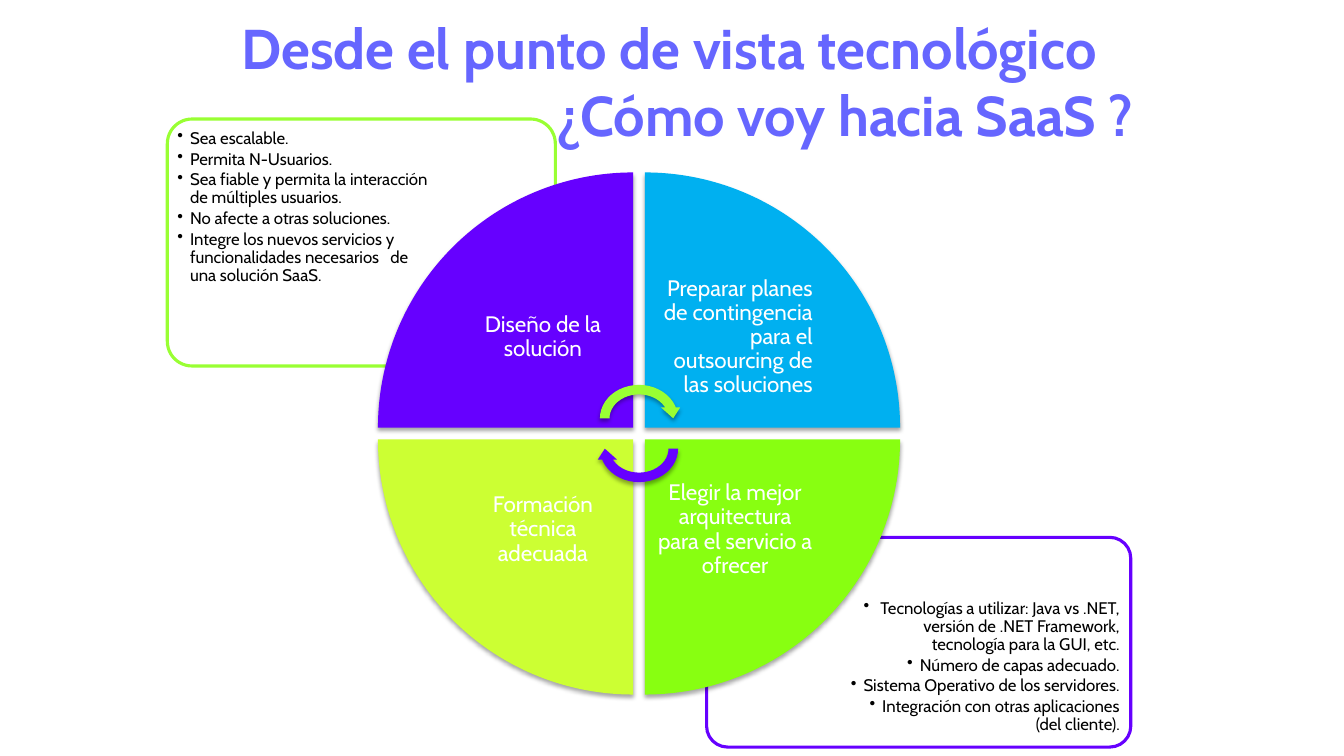
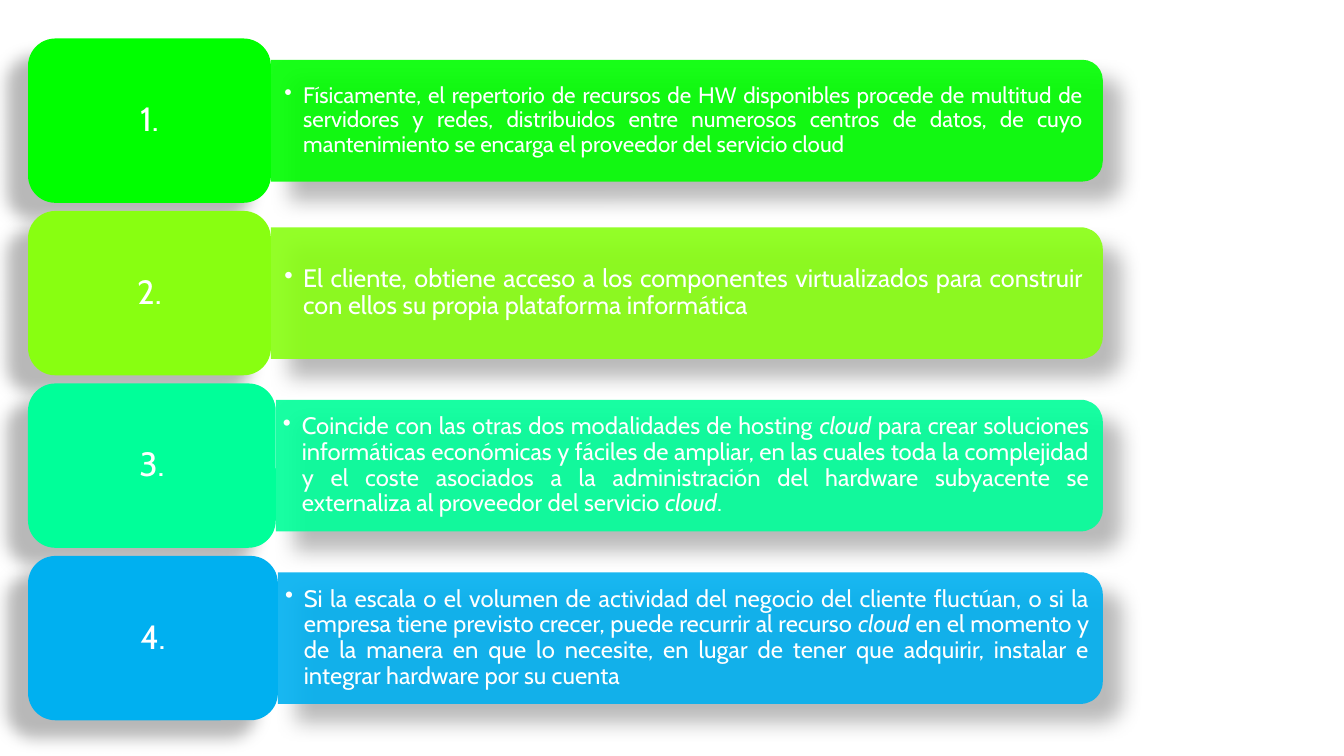
from lxml import etree
from pptx import Presentation, util as u
from pptx.dml import color as dml
from pptx.enum import shapes, text
from pptx.oxml import ns

Pt = u.Pt
KIND = shapes.MSO_SHAPE
ALIGN = text.PP_ALIGN
MID = text.MSO_ANCHOR.MIDDLE
TOP = text.MSO_ANCHOR.TOP
FONT = "Cabin"
WHITE, BLACK, LILAC = "FFFFFF", "000000", "6666FF"
VIOLET, BLUE, LIME, LEMON = "6600FF", "00B0F0", "88FF11", "CCFF33"
GRASS, GREEN, MINT = "99FF33", "00FF00", "00FF99"
SOFT = (35, 3, 2, 90)
RIGHT = (30, 15, 18, 45)
LEFT = (28, 11.8, 19.7, 141)


def node(root, tag, **vals):
    """Append a DrawingML element with the given attributes."""
    return etree.SubElement(root, ns.qn("a:" + tag),
                            {k: str(v) for k, v in vals.items()})


def paint(fill, tint, alpha=100):
    """Give a fill one solid colour, opaque or not."""
    fill.solid()
    fill.fore_color.rgb = dml.RGBColor.from_string(tint)
    if alpha < 100:
        root = fill._xPr.find(ns.qn("a:solidFill"))
        node(root[0], "alpha", val=alpha * 1000)


def apply(item, vals):
    """Set attributes from a dict of format values."""
    for key, val in vals.items():
        setattr(item, key, val)


def shape(slide, kind, box, tint, alpha=100, shade=None, edge=None, turn=0):
    """Draw one preset shape in a box given in points."""
    item = slide.shapes.add_shape(kind, *map(Pt, box))
    item.rotation = turn
    item.shadow.inherit = False
    paint(item.fill, tint, alpha)
    if edge:
        paint(item.line.fill, edge)
        item.line.width = Pt(2.25)
    else:
        item.line.fill.background()
    if shade:
        dark, blur, dist, angle = shade
        root = item._element.spPr.find(ns.qn("a:effectLst"))
        cast = node(root, "outerShdw", blurRad=Pt(blur), dist=Pt(dist),
                    dir=angle * 60000, algn="ctr", rotWithShape=0)
        node(node(cast, "srgbClr", val=BLACK), "alpha", val=dark * 1000)
    return item


def frame(item, pad, anchor):
    """Wrap a shape's text and set its insets and anchor."""
    body = item.text_frame
    side, top = map(Pt, pad)
    apply(body, {"word_wrap": True, "auto_size": text.MSO_AUTO_SIZE.NONE,
                 "vertical_anchor": anchor, "margin_left": side,
                 "margin_right": side, "margin_top": top,
                 "margin_bottom": top})
    return body


def write(body, paras, size, tint, align, ls=0.9, after=0.35, hangs=None,
          bold=False):
    """Write paragraphs, each a string or a list of (text, format) runs."""
    for i, runs in enumerate(paras):
        para = body.paragraphs[0] if i == 0 else body.add_paragraph()
        apply(para, {"alignment": align, "line_spacing": ls,
                     "space_after": Pt(size * after)})
        if hangs:
            prop = para._p.get_or_add_pPr()
            hang = Pt(hangs[min(i, len(hangs) - 1)])
            prop.set("marL", str(hang))
            prop.set("indent", str(-hang))
            node(prop, "buChar", char="•")
        for words, style in [(runs, {})] if isinstance(runs, str) else runs:
            run = para.add_run()
            run.text = words
            apply(run.font, {"name": FONT, "size": Pt(size), "bold": bold,
                             "italic": style.get("italic", False)})
            paint(run.font.fill, tint)
            if "gap" in style:
                run._r.get_or_add_rPr().set("spc", str(style["gap"] * 100))


def label(slide, box, pad, anchor, paras, *args, **vals):
    """Place a text box and fill it."""
    item = slide.shapes.add_textbox(*map(Pt, box))
    write(frame(item, pad, anchor), paras, *args, **vals)


def title(slide, box, lines, shift):
    """Format the title, with its second line pushed to the right."""
    head = slide.shapes.title
    apply(head, dict(zip(("left", "top", "width", "height"), map(Pt, box))))
    body = frame(head, (7.2, 3.6), TOP)
    write(body, lines, 40, LILAC, ALIGN.CENTER, 1, 0, bold=True)
    body.paragraphs[1]._p.get_or_add_pPr().set("marL", str(Pt(shift)))


def card(slide, box, edge, inner, paras, align, hangs):
    """Draw an outlined card with a bullet list placed inside it."""
    item = shape(slide, KIND.ROUNDED_RECTANGLE, box, WHITE, 90, edge=edge)
    item.adjustments[0] = 0.1
    dx, dy, w, h = inner
    label(slide, (box[0] + dx, box[1] + dy, w, h), (3.6, 3.6), TOP, paras,
          12, BLACK, align, after=0.15, hangs=hangs)


def wheel(slide, x, y, side, gap, parts):
    """Draw four labelled wedges clockwise and two arrows at the hub."""
    step, inner = side + gap, side / 2 ** 0.5
    for i, (words, tint, align) in enumerate(parts):
        col, row = int(i in (1, 2)), i // 2
        px, py = x + col * step, y + row * step
        shape(slide, KIND.PIE_WEDGE, (px, py, side, side), tint,
              shade=SOFT, turn=90 * i)
        inset = side - inner
        box = (px + (1 - col) * inset, py + (1 - row) * inset, inner, inner)
        label(slide, box, (9, 9), MID, [words], 16, WHITE, align)
    w, h, half = 62.6, 54.7, (step + side) / 2
    for tint, turn, dy in ((GRASS, 0, -10.8), (VIOLET, 180, 10.8)):
        box = (x + half - w / 2, y + half + dy - h / 2, w, h)
        shape(slide, KIND.CIRCULAR_ARROW, box, tint, shade=SOFT, turn=turn)


def row(slide, box, split, thick, tint, mark, runs, size, pad):
    """Draw a numbered tab and the bar of text to its right."""
    x, y, w, h = box
    span, mid = w - split, y + h / 2
    left = x + split
    turned = (left + (span - thick) / 2, mid - span / 2, thick, span)
    shape(slide, KIND.ROUND_2_SAME_RECTANGLE, turned, tint, 90, RIGHT,
          turn=90)
    high = thick - 8.7
    label(slide, (left, mid - high / 2, span - 4.5, high), pad, MID, [runs],
          size, WHITE, ALIGN.JUSTIFY, after=0.15, hangs=(13.5,))
    tab = shape(slide, KIND.ROUNDED_RECTANGLE, (x, y, split, h), tint,
                shade=LEFT)
    write(frame(tab, (7.2, 3.6), MID), [mark], 24, WHITE, ALIGN.CENTER)


def design(deck):
    """Build the slide with the wheel and its two cards."""
    slide = deck.slides.add_slide(deck.slide_layouts[5])
    title(slide, (22, 6, 912, 104),
          ["Desde el punto de vista tecnológico", "¿Cómo voy hacia SaaS ?"],
          251)
    card(slide, (504.7, 383.8, 303, 149.8), VIOLET, (93.6, 41, 205.2, 106),
         ["Tecnologías a utilizar: Java vs .NET, versión de .NET Framework, "
          "tecnología para la GUI, etc.",
          "Número de capas adecuado.",
          "Sistema Operativo de los servidores.",
          "Integración con otras aplicaciones (del cliente)."],
         ALIGN.RIGHT, (12, 9))
    card(slide, (119.5, 85, 277.2, 176.4), GRASS, (3.6, 4.3, 186.5, 124.6),
         ["Sea escalable.", "Permita N-Usuarios.",
          "Sea fiable y permita la interacción de múltiples usuarios.",
          "No afecte a otras soluciones.",
          [("Integre los nuevos servicios y funcionalidades necesarios", {}),
           (" ", {"gap": 5}), ("de una solución SaaS.", {})]],
         ALIGN.LEFT, (9,))
    wheel(slide, 270, 123.2, 182.2, 8.5, [
        ("Diseño de la solución", VIOLET, ALIGN.CENTER),
        ("Preparar planes de contingencia para el outsourcing de las "
         "soluciones", BLUE, ALIGN.RIGHT),
        ("Elegir la mejor arquitectura para el servicio a ofrecer", LIME,
         ALIGN.CENTER),
        ("Formación técnica adecuada", LEMON, ALIGN.CENTER)])


def cloud(deck):
    """Build the slide with four numbered rows."""
    slide = deck.slides.add_slide(deck.slide_layouts[6])
    slant = {"italic": True}
    wide, slim = (9.6, 4.8), (5.1, 2.55)
    rows = [
        (173.5, 87, GREEN, "1.",
         "Físicamente, el repertorio de recursos de HW disponibles procede "
         "de multitud de servidores y redes, distribuidos entre numerosos "
         "centros de datos, de cuyo mantenimiento se encarga el proveedor "
         "del servicio cloud", 16, wide),
        (173.5, 94, LIME, "2.",
         "El cliente, obtiene acceso a los componentes virtualizados para "
         "construir con ellos su propia plataforma informática", 18, wide),
        (177, 94, MINT, "3.",
         [("Coincide con las otras dos modalidades de hosting ", {}),
          ("cloud ", slant),
          ("para crear soluciones informáticas económicas y fáciles de "
           "ampliar, en las cuales toda la complejidad y el coste asociados "
           "a la administración del hardware subyacente se externaliza al "
           "proveedor del servicio ", {}),
          ("cloud", slant), (".", {})], 17, slim),
        (178.5, 94, BLUE, "4.",
         [("Si la escala o el volumen de actividad del negocio del cliente "
           "fluctúan, o si la empresa tiene previsto crecer, puede recurrir "
           "al recurso ", {}),
          ("cloud", slant),
          (" en el momento y de la manera en que lo necesite, en lugar de "
           "tener que adquirir, instalar e integrar hardware por su cuenta",
           {})], 17, slim)]
    for i, parts in enumerate(rows):
        row(slide, (20, 27.5 + 123.2 * i, 767.7, 117.4), *parts)


def main():
    """Build and save the deck."""
    deck = Presentation()
    apply(deck, {"slide_width": Pt(960), "slide_height": Pt(540)})
    design(deck)
    cloud(deck)
    deck.save("out.pptx")


if __name__ == "__main__":
    main()
